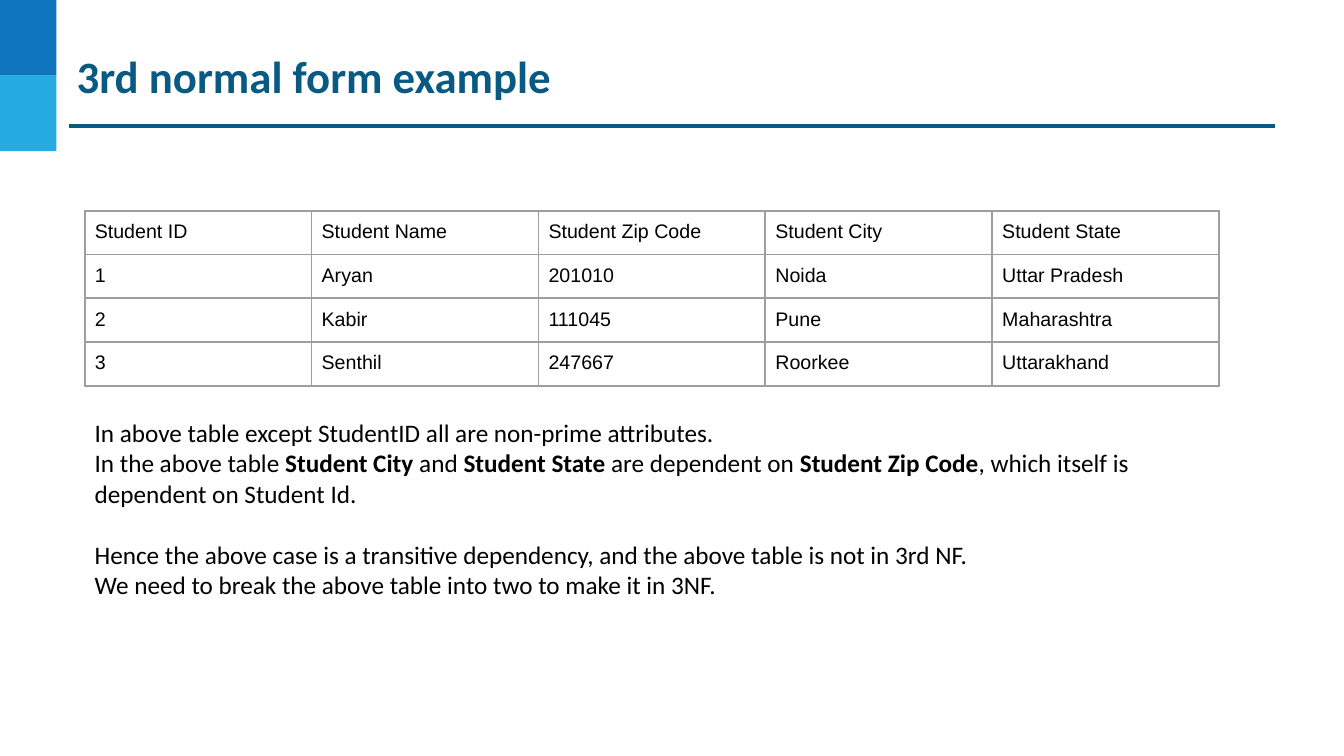
from lxml.etree import SubElement
from pptx import Presentation
from pptx.dml.color import RGBColor as RGB
from pptx.enum.shapes import MSO_CONNECTOR as CONN, MSO_SHAPE as SHAPE
from pptx.enum.text import MSO_AUTO_SIZE as FIT
from pptx.oxml.ns import qn
from pptx.util import Inches, Pt

COLORS = {
    "blue": "0F75BD",
    "sky": "25AAE2",
    "navy": "095A82",
    "grid": "9E9E9E",
    "black": "000000",
}

FORMATS = {
    "title": {"name": "Calibri", "size": Pt(32), "bold": True},
    "body": {"name": "Calibri", "size": Pt(18)},
    "cell": {"name": "Arial", "size": Pt(14)},
}

STUDENTS = [
    ["Student ID", "Student Name", "Student Zip Code", "Student City", "Student State"],
    ["1", "Aryan", "201010", "Noida", "Uttar Pradesh"],
    ["2", "Kabir", "111045", "Pune", "Maharashtra"],
    ["3", "Senthil", "247667", "Roorkee", "Uttarakhand"],
]

EXPLANATION = [
    ["In above table except StudentID all are non-prime attributes."],
    ["In the above table ", "Student City", " and ", "Student State",
     " are dependent on ", "Student Zip Code",
     ", which itself is dependent on Student Id."],
    ["Hence the above case is a transitive dependency, and the above table is not in 3rd NF."],
    ["We need to break the above table into two to make it in 3NF."],
]


class SlideBuilder:
    def __init__(self, slide):
        self.shapes = slide.shapes

    def color(self, name):
        return RGB.from_string(COLORS[name])

    def rect(self, x, y, w, h, color):
        sp = self.shapes.add_shape(SHAPE.RECTANGLE, Inches(x), Inches(y), Inches(w), Inches(h))
        sp.shadow.inherit = False
        sp.fill.solid()
        sp.fill.fore_color.rgb = self.color(color)
        sp.line.fill.background()

    def line(self, x1, y1, x2, y2, color, width):
        ln = self.shapes.add_connector(CONN.STRAIGHT, Inches(x1), Inches(y1), Inches(x2), Inches(y2))
        ln.line.color.rgb = self.color(color)
        ln.line.width = Pt(width)
        SubElement(ln._element.spPr, qn("a:effectLst"))

    def run(self, p, text, style, color, **changes):
        r = p.add_run()
        r.text = text
        for key, value in {**FORMATS[style], **changes}.items():
            setattr(r.font, key, value)
        r.font.color.rgb = self.color(color)

    def inset(self, target, margin):
        for side in ("left", "top", "right", "bottom"):
            setattr(target, f"margin_{side}", Inches(margin))

    def text_frame(self, x, y, w, h, margin):
        tf = self.shapes.add_textbox(Inches(x), Inches(y), Inches(w), Inches(h)).text_frame
        tf.word_wrap = True
        tf.auto_size = FIT.SHAPE_TO_FIT_TEXT
        self.inset(tf, margin)
        return tf

    def title(self, x, y, w, h, text):
        tf = self.text_frame(x, y, w, h, 0.02)
        self.run(tf.paragraphs[0], text, "title", "navy")

    def body(self, x, y, w, h, paragraphs, gap_before):
        tf = self.text_frame(x, y, w, h, 0.1)
        for i, texts in enumerate(paragraphs):
            p = tf.add_paragraph() if i else tf.paragraphs[0]
            if i == gap_before:
                p.space_before = Pt(22)
            for j, text in enumerate(texts):
                self.run(p, text, "body", "black", bold=j % 2 == 1)

    def border(self, cell, color, width):
        tc_pr = cell._tc.get_or_add_tcPr()
        for i, side in enumerate(("lnL", "lnR", "lnT", "lnB")):
            ln = tc_pr.makeelement(qn(f"a:{side}"), {"w": str(Pt(width))})
            fill = SubElement(ln, qn("a:solidFill"))
            SubElement(fill, qn("a:srgbClr"), val=COLORS[color])
            tc_pr.insert(i, ln)

    def table(self, x, y, col_w, row_h, rows):
        n_rows, n_cols = len(rows), len(rows[0])
        tbl = self.shapes.add_table(
            n_rows, n_cols, Inches(x), Inches(y),
            Inches(col_w * n_cols), Inches(row_h * n_rows)).table
        tbl.first_row = tbl.horz_banding = False
        for col in tbl.columns:
            col.width = Inches(col_w)
        for row, texts in zip(tbl.rows, rows):
            row.height = Inches(row_h)
            for cell, text in zip(row.cells, texts):
                self.inset(cell, 0.1)
                cell.fill.background()
                self.border(cell, "grid", 1.5)
                self.run(cell.text_frame.paragraphs[0], text, "cell", "black")


def main():
    prs = Presentation()
    prs.slide_width, prs.slide_height = Inches(13.33), Inches(7.5)
    s = SlideBuilder(prs.slides.add_slide(prs.slide_layouts[6]))
    for i, color in enumerate(("blue", "sky")):
        s.rect(0, i * 0.75, 0.56, 0.75, color)
    s.line(0.68, 1.25, 12.65, 1.25, "navy", 2.25)
    s.title(0.74, 0.46, 11.97, 0.58, "3rd normal form example")
    s.table(0.84, 2.09, 2.25, 0.42, STUDENTS)
    s.body(0.84, 4.04, 11.02, 2.02, EXPLANATION, gap_before=2)
    prs.save("out.pptx")


if __name__ == "__main__":
    main()
